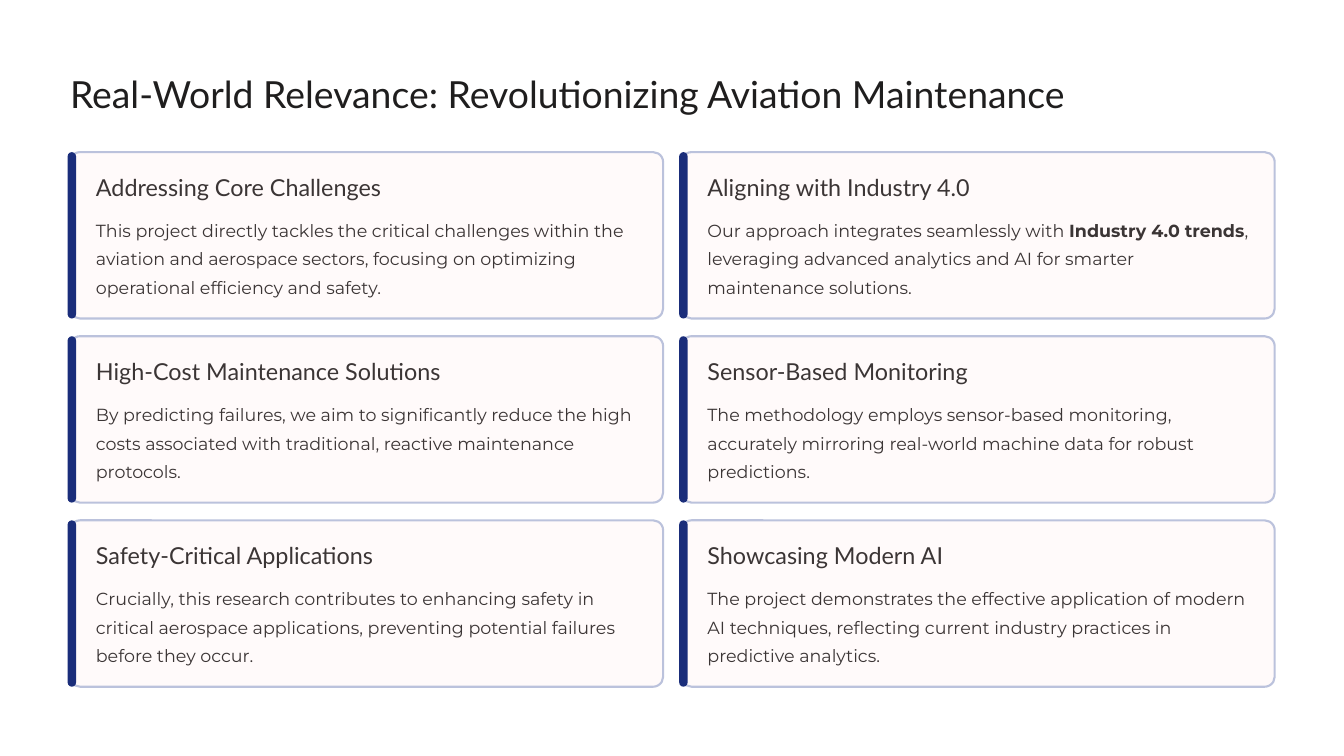
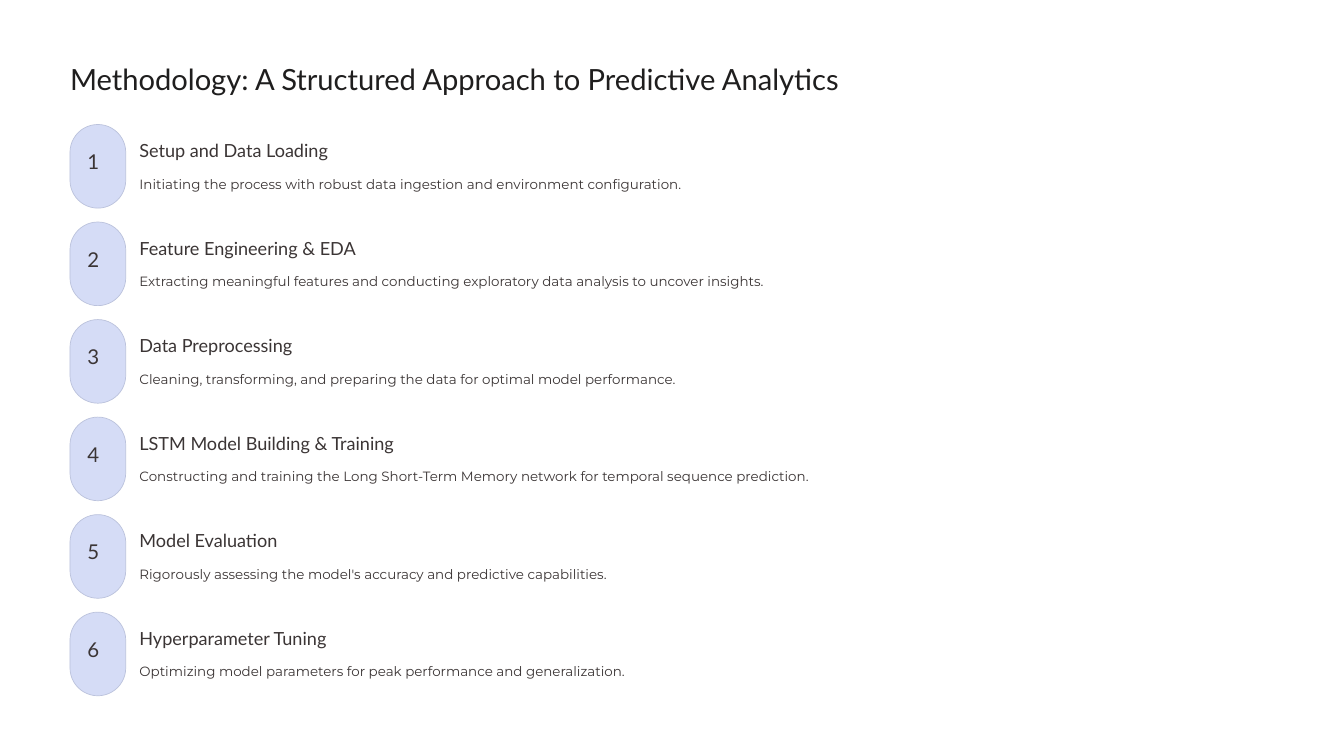
from dataclasses import dataclass

from pptx import Presentation
from pptx.dml.color import RGBColor
from pptx.enum.shapes import MSO_SHAPE
from pptx.enum.text import MSO_ANCHOR, MSO_AUTO_SIZE, PP_ALIGN
from pptx.util import Pt

ROUNDED = MSO_SHAPE.ROUNDED_RECTANGLE
TOP = MSO_ANCHOR.TOP
NO_AUTOFIT = MSO_AUTO_SIZE.NONE
LEFT = PP_ALIGN.LEFT

# Shared look, lengths in points
SLIDE_WIDTH, SLIDE_HEIGHT = 1152, 648
MARGIN = 60
TITLE_ONLY = 5
WHITE = "FFFFFF"
TITLE_COLOR = "1F1E1E"
TEXT_COLOR = "3B3535"
BORDER = "BBC2DC"
CARD_FILL = "FFFAFA"
ACCENT = "1A2D7A"
BADGE_FILL = "D5DCF6"


@dataclass(frozen=True)
class TextStyle:
    font: str
    size: float
    line_spacing: float
    color: str = TEXT_COLOR
    wrap: bool = False


@dataclass(frozen=True)
class Item:
    heading: str
    body: str  # double asterisks enclose bold words


CARD_TITLE = TextStyle("Lato", 32, 40, TITLE_COLOR)
CARD_HEADING = TextStyle("Lato", 20, 25)
CARD_BODY = TextStyle("Montserrat", 15, 24.5, wrap=True)
STEP_TITLE = TextStyle("Lato", 25, 31, TITLE_COLOR)
STEP_NUMBER = TextStyle("Lato", 17.5, 17.5)
STEP_HEADING = TextStyle("Lato", 15.5, 19.5)
STEP_BODY = TextStyle("Montserrat", 11.5, 19)

# Card grid
CARD_TOP, CARD_WIDTH, CARD_HEIGHT = 130.4, 508.4, 142.6
CARD_PITCH_X, CARD_PITCH_Y = 524.2, 157.8
BAR_WIDTH = 7.2

# Step list
STEP_TOP, STEP_PITCH = 106.7, 83.6
BADGE_WIDTH, BADGE_HEIGHT = 47.8, 71.7
STEP_TEXT_LEFT = 119.5

CARDS = [
    Item("Addressing Core Challenges",
         "This project directly tackles the critical challenges within the aviation and "
         "aerospace sectors, focusing on optimizing operational efficiency and safety."),
    Item("Aligning with Industry 4.0",
         "Our approach integrates seamlessly with **Industry 4.0 trends**, leveraging "
         "advanced analytics and AI for smarter maintenance solutions."),
    Item("High-Cost Maintenance Solutions",
         "By predicting failures, we aim to significantly reduce the high costs associated "
         "with traditional, reactive maintenance protocols."),
    Item("Sensor-Based Monitoring",
         "The methodology employs sensor-based monitoring, accurately mirroring real-world "
         "machine data for robust predictions."),
    Item("Safety-Critical Applications",
         "Crucially, this research contributes to enhancing safety in critical aerospace "
         "applications, preventing potential failures before they occur."),
    Item("Showcasing Modern AI",
         "The project demonstrates the effective application of modern AI techniques, "
         "reflecting current industry practices in predictive analytics."),
]

STEPS = [
    Item("Setup and Data Loading",
         "Initiating the process with robust data ingestion and environment configuration."),
    Item("Feature Engineering & EDA",
         "Extracting meaningful features and conducting exploratory data analysis to "
         "uncover insights."),
    Item("Data Preprocessing",
         "Cleaning, transforming, and preparing the data for optimal model performance."),
    Item("LSTM Model Building & Training",
         "Constructing and training the Long Short-Term Memory network for temporal "
         "sequence prediction."),
    Item("Model Evaluation",
         "Rigorously assessing the model's accuracy and predictive capabilities."),
    Item("Hyperparameter Tuning",
         "Optimizing model parameters for peak performance and generalization."),
]


def rgb(color: str) -> RGBColor:
    return RGBColor.from_string(color)


def write_text(shape, text: str, style: TextStyle) -> None:
    """Fill a text shape with one paragraph in the given style."""
    frame = shape.text_frame
    frame.margin_left = frame.margin_top = frame.margin_right = frame.margin_bottom = 0
    frame.auto_size = NO_AUTOFIT
    frame.vertical_anchor = TOP
    frame.word_wrap = style.wrap
    paragraph = frame.paragraphs[0]
    paragraph.alignment = LEFT
    paragraph.line_spacing = Pt(style.line_spacing)
    paragraph.font.name = style.font
    paragraph.font.size = Pt(style.size)
    paragraph.font.color.rgb = rgb(style.color)
    for index, part in enumerate(text.split("**")):
        run = paragraph.add_run()
        run.text = part
        if index % 2:
            run.font.bold = True


def add_text(slide, left: float, top: float, width: float, height: float,
             text: str, style: TextStyle) -> None:
    box = slide.shapes.add_textbox(Pt(left), Pt(top), Pt(width), Pt(height))
    write_text(box, text, style)


def add_rounded(slide, left: float, top: float, width: float, height: float,
                rounding: float, fill: str, line_width: float = 0) -> None:
    shape = slide.shapes.add_shape(ROUNDED, Pt(left), Pt(top), Pt(width), Pt(height))
    shape.adjustments[0] = rounding
    shape.shadow.inherit = False
    shape.fill.solid()
    shape.fill.fore_color.rgb = rgb(fill)
    if line_width:
        shape.line.color.rgb = rgb(BORDER)
        shape.line.width = Pt(line_width)
    else:
        shape.line.fill.background()


def add_titled_slide(presentation, title: str, style: TextStyle,
                     top: float, width: float, height: float):
    slide = presentation.slides.add_slide(presentation.slide_layouts[TITLE_ONLY])
    slide.background.fill.solid()
    slide.background.fill.fore_color.rgb = rgb(WHITE)
    shape = slide.shapes.title
    shape.left, shape.top = Pt(MARGIN), Pt(top)
    shape.width, shape.height = Pt(width), Pt(height)
    write_text(shape, title, style)
    return slide


def add_card(slide, left: float, top: float, card: Item) -> None:
    add_rounded(slide, left, top, CARD_WIDTH, CARD_HEIGHT, 0.06, CARD_FILL, 1.8)
    add_rounded(slide, left - 2, top, BAR_WIDTH, CARD_HEIGHT, 0.5, ACCENT)
    text_left = left + 22.2
    add_text(slide, text_left, top + 17, 342, 25.2, card.heading, CARD_HEADING)
    add_text(slide, text_left, top + 51.6, 468.7, 73.4, card.body, CARD_BODY)


def add_step(slide, top: float, number: int, step: Item) -> None:
    add_rounded(slide, MARGIN, top, BADGE_WIDTH, BADGE_HEIGHT, 0.5, BADGE_FILL, 0.6)
    add_text(slide, MARGIN + 14.9, top + 24.7, 18, 22.3, str(number), STEP_NUMBER)
    add_text(slide, STEP_TEXT_LEFT, top + 11.9, 252, 19.4, step.heading, STEP_HEADING)
    add_text(slide, STEP_TEXT_LEFT, top + 38.8, 972.7, 19.4, step.body, STEP_BODY)


def main() -> None:
    presentation = Presentation()
    presentation.slide_width = Pt(SLIDE_WIDTH)
    presentation.slide_height = Pt(SLIDE_HEIGHT)

    # Relevance: two columns of cards
    slide = add_titled_slide(
        presentation, "Real-World Relevance: Revolutionizing Aviation Maintenance",
        CARD_TITLE, 59.8, 999.4, 40.3)
    for index, card in enumerate(CARDS):
        row, column = divmod(index, 2)
        add_card(slide, MARGIN + column * CARD_PITCH_X, CARD_TOP + row * CARD_PITCH_Y, card)

    # Methodology: numbered steps
    slide = add_titled_slide(
        presentation, "Methodology: A Structured Approach to Predictive Analytics",
        STEP_TITLE, 51.8, 771.8, 31.7)
    for index, step in enumerate(STEPS):
        add_step(slide, STEP_TOP + index * STEP_PITCH, index + 1, step)

    presentation.save("out.pptx")


if __name__ == "__main__":
    main()
